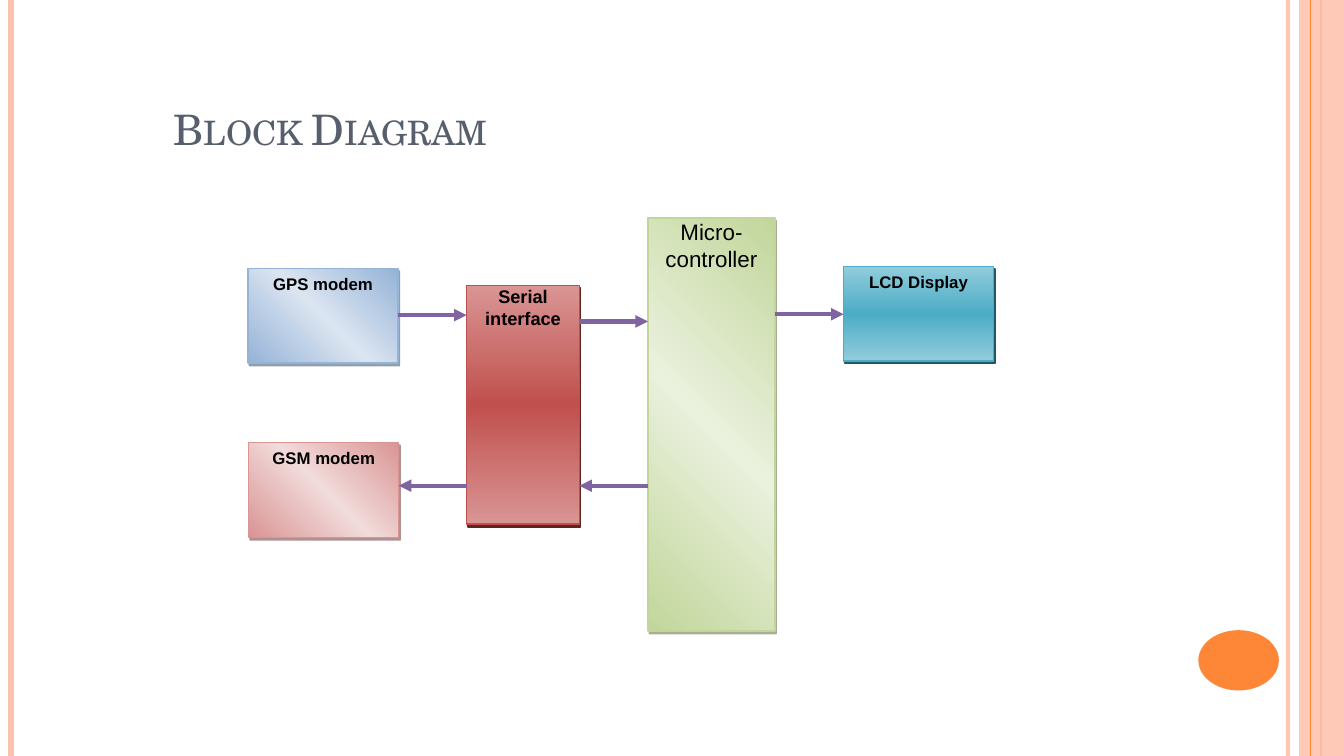
"""Build the block diagram slide of the modem and microcontroller system."""
from copy import deepcopy
from dataclasses import dataclass

from pptx import Presentation
from pptx.dml.color import RGBColor as Rgb
from pptx.enum.shapes import MSO_CONNECTOR as Link, MSO_SHAPE as Form
from pptx.enum.text import MSO_ANCHOR as Anchor, PP_ALIGN as Align
from pptx.oxml.ns import qn
from pptx.oxml.xmlchemy import OxmlElement as Node
from pptx.util import Cm, Pt


@dataclass(frozen=True)
class Theme:
    head: str = "TeX Gyre Schola"
    body: str = "Arial"
    title: str = "575F6D"
    text: str = "000000"
    pale: str = "FEC2AC"
    warm: str = "FE8637"
    arrow: str = "8064A2"
    big: int = 30
    large: int = 16
    mid: int = 13
    small: int = 12


look = Theme()
wide, high = 33.87, 19.05
title = "Block Diagram"
rails = [(32.46, look.pale, 3, 93), (0.28, look.pale, 4.5, 100), (33.3, look.warm, 1.5, 100)]
edge = (33.02, look.warm, 0.75, 100)
modem = (3.78, 2.39)
blocks = {
    "gps": dict(text="GPS modem", at=(6.25, 6.76), area=modem, size=look.small, bold=True, inset=0.13,
                tones=("95B3D7", "DBE5F1"), line="95B3D7", angle=45, shade=("243F60", 50)),
    "gsm": dict(text="GSM modem", at=(6.27, 11.15), area=modem, size=look.small, bold=True, inset=0.13,
                tones=("D99594", "F2DBDB"), line="D99594", angle=45, shade=("622423", 50)),
    "lcd": dict(text="LCD Display", at=(21.26, 6.71), area=modem, size=look.small, bold=True, inset=0.13,
                tones=("92CDDC", "4BACC6"), line="4BACC6", angle=270, shade=("205867", 100)),
    "port": dict(text="Serial interface", at=(11.76, 7.19), area=(2.84, 6.02), size=look.mid, bold=True, inset=0,
                 tones=("D99594", "C0504D"), line="C0504D", angle=270, shade=("622423", 100)),
    "micro": dict(text="Micro-controller", at=(16.33, 5.49), area=(3.2, 10.41), size=look.large, bold=False, inset=0,
                  tones=("C2D69B", "EAF1DD"), line="C2D69B", angle=45, shade=("4E6128", 50)),
}
flows = [("gps", "port", 7.94), ("port", "micro", 8.1), ("micro", "lcd", 7.92),
         ("micro", "port", 12.24), ("port", "gsm", 12.24)]


def add(root, tag, **attrs):
    node = Node(tag)
    for key, val in attrs.items():
        node.set(key, str(val))
    root.append(node)
    return node


def fade(item, share):
    for tone in item.iter(qn("a:srgbClr")):
        add(tone, "a:alpha", val=share * 1000)


def stroke(start, end, color, width):
    line = slide.shapes.add_connector(Link.STRAIGHT, *(Cm(v) for v in start + end))
    line.line.color.rgb = Rgb.from_string(color)
    line.line.width = Pt(width)
    add(line._element.spPr, "a:effectLst")
    return line


def rail(left, color, width, share):
    line = stroke((left, 0), (left, high), color, width)
    if share < 100:
        fade(line._element, share)


def solid(form, box, color):
    shape = slide.shapes.add_shape(form, *(Cm(v) for v in box))
    shape.shadow.inherit = False
    shape.fill.solid()
    shape.fill.fore_color.rgb = Rgb.from_string(color)
    shape.line.fill.background()
    return shape


def write(shape, text, size, font, color, inset, anchor, align, bold=False):
    frame = shape.text_frame
    frame.text = text
    frame.word_wrap = True
    frame.vertical_anchor = anchor
    frame.margin_left = frame.margin_right = frame.margin_top = frame.margin_bottom = Cm(inset)
    para = frame.paragraphs[0]
    para.alignment = align
    face = para.runs[0].font
    face.name, face.size, face.bold = font, Pt(size), bold
    face.color.rgb = Rgb.from_string(color)
    return para.runs[0]


def block(text, at, area, size, bold, inset, tones, line, angle, shade):
    shape = solid(Form.RECTANGLE, at + area, line)
    shape.line.color.rgb = Rgb.from_string(line)
    shape.line.width = Pt(1)
    shape.fill.gradient()
    shape.fill.gradient_angle = angle
    props = shape._element.spPr
    stops = props.find(qn("a:gradFill")).find(qn("a:gsLst"))
    stops.append(deepcopy(stops[0]))
    for stop, tone, spot in zip(shape.fill.gradient_stops, tones + tones[:1], (0, 0.5, 1)):
        stop.color.rgb = Rgb.from_string(tone)
        stop.position = spot
    color, share = shade
    cast = add(props.find(qn("a:effectLst")), "a:outerShdw", blurRad=0, dist=Pt(2.2),
               dir=63 * 60000, algn="ctr", rotWithShape=0)
    add(cast, "a:srgbClr", val=color)
    fade(cast, share)
    write(shape, text, size, look.body, look.text, inset, Anchor.TOP, Align.CENTER, bold)


def flow(source, target, level):
    (left, _), (width, _) = blocks[source]["at"], blocks[source]["area"]
    goal, span = blocks[target]["at"][0], blocks[target]["area"][0]
    start, end = (left + width, goal) if left < goal else (left, goal + span)
    line = stroke((start, level), (end, level), look.arrow, 3)
    add(line._element.spPr.find(qn("a:ln")), "a:tailEnd", type="triangle")


deck = Presentation()
deck.slide_width, deck.slide_height = Cm(wide), Cm(high)
slide = deck.slides.add_slide(deck.slide_layouts[6])

for item in rails:
    rail(*item)
band = solid(Form.RECTANGLE, (32.74, 0, 1.13, high), look.pale)
fade(band._element, 87)
rail(*edge)
solid(Form.OVAL, (30.2, 15.88, 2.03, 1.52), look.warm)

box = slide.shapes.add_textbox(Cm(4.24), Cm(0.84), Cm(20.75), Cm(3.18))
run = write(box, title, look.big, look.head, look.title, 0.13, Anchor.BOTTOM, Align.LEFT)
run.font._element.set("cap", "small")

for item in blocks.values():
    block(**item)
for item in flows:
    flow(*item)

deck.save("out.pptx")
